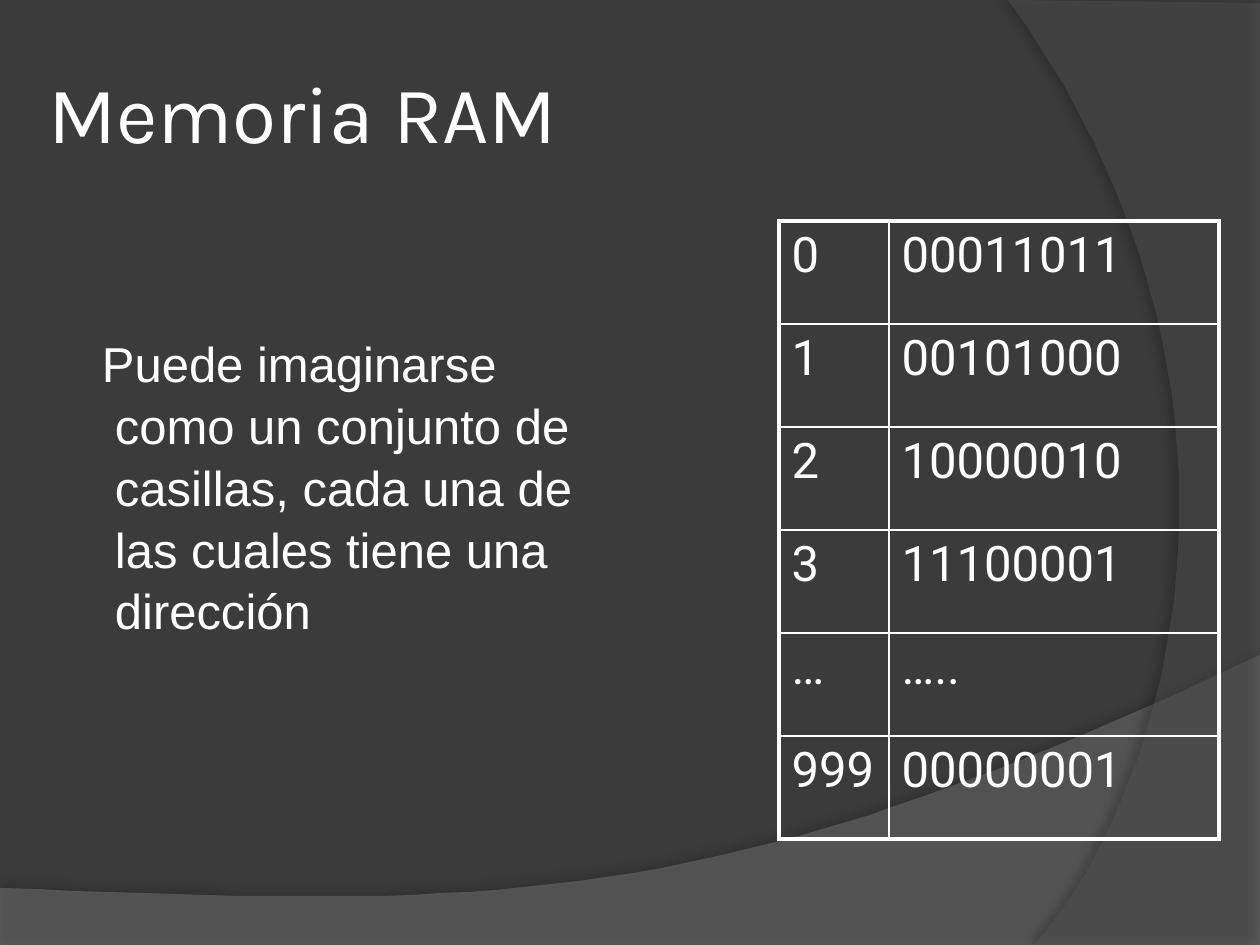
from lxml import etree
from pptx import Presentation
from pptx.dml.color import RGBColor
from pptx.enum.text import MSO_ANCHOR
from pptx.oxml.ns import qn
from pptx.util import Pt

MIDDLE = MSO_ANCHOR.MIDDLE
TOP = MSO_ANCHOR.TOP
PX = 914400 / 126
CURVE_STEPS = 40

COLORS = {
    "background": "3B3B3B",
    "wave": "7C7C7C",
    "arc": "595959",
    "shadow": "000000",
    "text": "FFFFFF",
    "border": "FFFFFF",
}

TITLE_STYLE = {"name": "Karla", "size": Pt(46)}
BODY_STYLE = {"name": "Arial", "size": Pt(28)}
CELL_STYLE = {"name": "Roboto", "size": Pt(28)}

MEMORY = [
    ("0", "00011011"),
    ("1", "00101000"),
    ("2", "10000010"),
    ("3", "11100001"),
    ("…", "….."),
    ("999", "00000001"),
]
COLUMN_WIDTHS = (110, 330)
ROW_HEIGHT = 103
OUTER_LINE = 2.25
INNER_LINE = 1


def px(value):
    return round(value * PX)


def color(name):
    return RGBColor.from_string(COLORS[name])


def apply(target, values):
    for key, value in values.items():
        setattr(target, key, value)


def add_color(parent, name, opacity=100):
    node = etree.SubElement(parent, qn("a:srgbClr"), val=COLORS[name])
    if opacity < 100:
        etree.SubElement(node, qn("a:alpha"), val=str(opacity * 1000))


def bezier(start, first, second, end):
    points = []
    for step in range(1, CURVE_STEPS + 1):
        t = step / CURVE_STEPS
        weights = ((1 - t) ** 3, 3 * t * (1 - t) ** 2, 3 * t ** 2 * (1 - t), t ** 3)
        corners = zip(*(start, first, second, end))
        points.append(tuple(sum(w * c for w, c in zip(weights, axis)) for axis in corners))
    return points


def add_swoosh(page, corners, curve, fill, opacity, shadow):
    builder = page.shapes.build_freeform(*corners[0], scale=PX)
    builder.add_line_segments(corners[1:] + bezier(corners[-1], *curve), close=True)
    shape = builder.convert_to_shape()
    shape.shadow.inherit = False
    shape.line.fill.background()
    shape.fill.solid()
    shape.fill.fore_color.rgb = color(fill)
    properties = shape._element.spPr
    tint = properties.find(qn("a:solidFill")).find(qn("a:srgbClr"))
    etree.SubElement(tint, qn("a:alpha"), val=str(opacity * 1000))
    outer = etree.SubElement(
        properties.find(qn("a:effectLst")), qn("a:outerShdw"),
        blurRad=str(Pt(5)), dist=str(Pt(shadow["distance"])),
        dir=str(shadow["angle"] * 60000), algn="ctr", rotWithShape="0")
    add_color(outer, "shadow", shadow["opacity"])


def write(frame, text, style):
    para = frame.paragraphs[0]
    span = para.add_run()
    span.text = text
    apply(span.font, style)
    span.font.color.rgb = color("text")
    return para


def add_text(page, place, text, style, anchor, inset):
    box = page.shapes.add_textbox(*map(px, place))
    frame = box.text_frame
    apply(frame, {
        "word_wrap": True, "vertical_anchor": anchor,
        "margin_left": px(inset), "margin_right": px(inset),
        "margin_top": px(6), "margin_bottom": px(6),
    })
    return write(frame, text, style)


def set_borders(cell, widths):
    properties = cell._tc.get_or_add_tcPr()
    for index, (side, width) in enumerate(widths.items()):
        line = etree.Element(qn(f"a:ln{side}"), w=str(Pt(width)))
        add_color(etree.SubElement(line, qn("a:solidFill")), "border")
        properties.insert(index, line)


def add_memory_table(page, left, top):
    last_row, last_column = len(MEMORY) - 1, len(COLUMN_WIDTHS) - 1
    table = page.shapes.add_table(
        len(MEMORY), len(COLUMN_WIDTHS), px(left), px(top),
        px(sum(COLUMN_WIDTHS)), px(ROW_HEIGHT * len(MEMORY))).table
    apply(table, {"first_row": False, "horz_banding": False})
    for column, width in zip(table.columns, COLUMN_WIDTHS):
        column.width = px(width)
    for r, values in enumerate(MEMORY):
        table.rows[r].height = px(ROW_HEIGHT)
        for c, value in enumerate(values):
            cell = table.cell(r, c)
            cell.fill.background()
            write(cell.text_frame, value, CELL_STYLE)
            edges = {"L": c == 0, "R": c == last_column, "T": r == 0, "B": r == last_row}
            set_borders(cell, {side: OUTER_LINE if outer else INNER_LINE
                               for side, outer in edges.items()})


def main():
    deck = Presentation()
    apply(deck, {"slide_width": px(1260), "slide_height": px(945)})
    page = deck.slides.add_slide(deck.slide_layouts[6])
    page.background.fill.solid()
    page.background.fill.fore_color.rgb = color("background")

    add_swoosh(page, [(0, 888), (0, 946), (1260, 946), (1260, 655)],
               [(704, 919), (493, 906), (0, 888)], "wave", 45,
               {"distance": 3.5, "angle": 270, "opacity": 35})
    add_swoosh(page, [(1260, 3), (1260, 945), (1034, 945)],
               [(1178, 780), (1283, 378), (1008, 0)], "arc", 40,
               {"distance": 4, "angle": 180, "opacity": 45})

    add_text(page, (42, 32, 1177, 158), "Memoria RAM", TITLE_STYLE, MIDDLE, 6)
    para = add_text(
        page, (44, 325, 578, 620),
        "Puede imaginarse como un conjunto de casillas, cada una de las cuales "
        "tiene una dirección", BODY_STYLE, TOP, 13)
    apply(para, {"line_spacing": 1.05, "space_before": Pt(2)})
    indents = para._p.get_or_add_pPr()
    indents.set("marL", str(px(58)))
    indents.set("indent", str(px(-13)))

    add_memory_table(page, 779, 221)
    deck.save("out.pptx")


if __name__ == "__main__":
    main()
